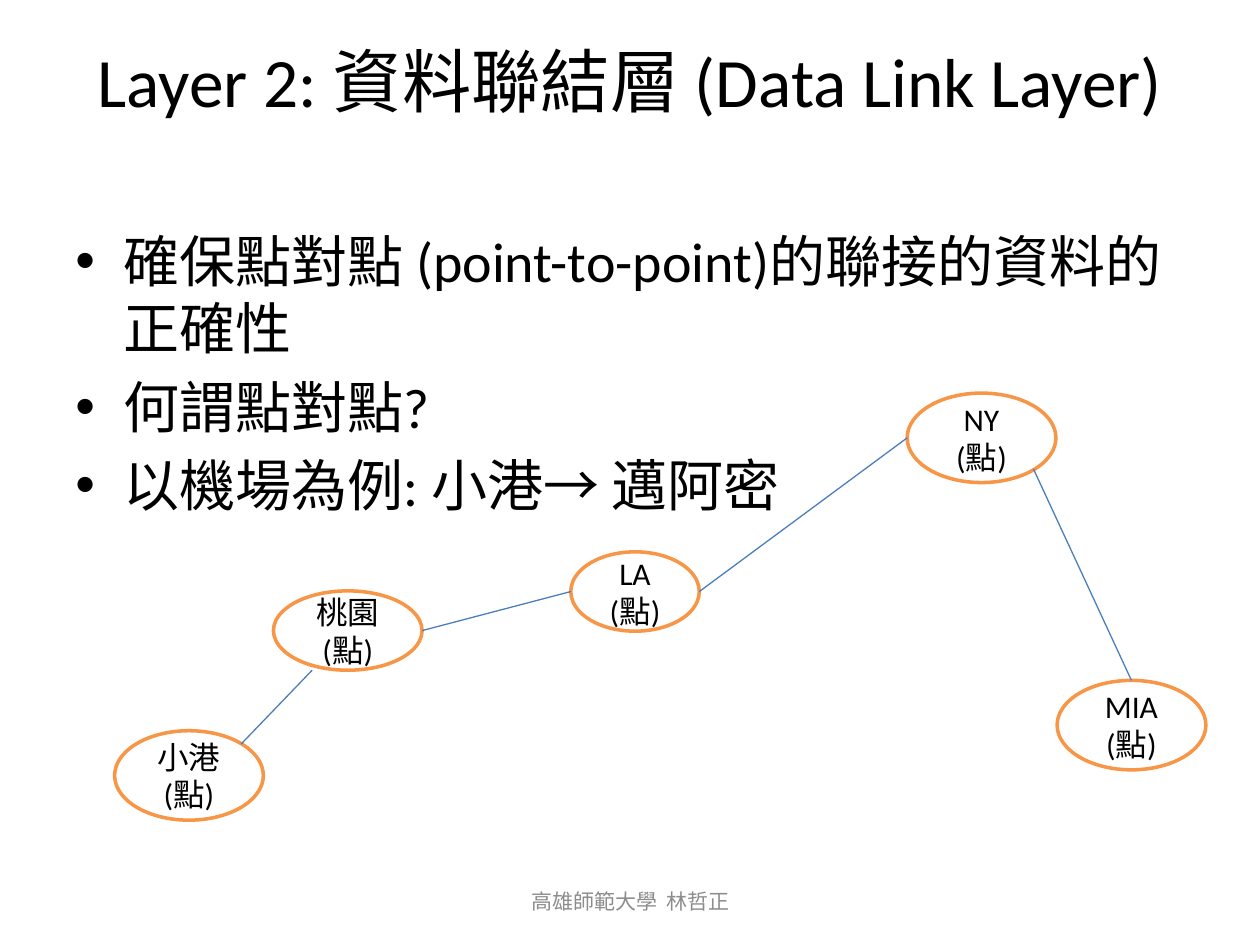
from dataclasses import dataclass
from typing import NamedTuple

from lxml.etree import SubElement
from pptx import Presentation
from pptx.dml.color import RGBColor
from pptx.enum.shapes import MSO_CONNECTOR, MSO_SHAPE
from pptx.enum.text import MSO_ANCHOR, PP_ALIGN
from pptx.oxml.ns import qn
from pptx.util import Inches, Pt

SLIDE_WIDTH, SLIDE_HEIGHT = Inches(10), Inches(7.5)
TITLE_ONLY = 5


@dataclass(frozen=True)
class Theme:
    """Fonts, colours and type sizes of the slide."""
    font: str = "Calibri"
    ink: RGBColor = RGBColor(0, 0, 0)
    paper: RGBColor = RGBColor(255, 255, 255)
    outline: RGBColor = RGBColor(0xF7, 0x96, 0x46)
    route: RGBColor = RGBColor(0x4B, 0x7E, 0xBC)
    muted: RGBColor = RGBColor(0x8C, 0x8C, 0x8C)
    title_size: float = 39.6
    body_size: float = 32
    node_size: float = 18
    footer_size: float = 12


class Area(NamedTuple):
    """A rectangle in percent of the slide's width and height."""
    left: float
    top: float
    width: float
    height: float

    def point(self, across: float, down: float) -> tuple[int, int]:
        """Return the slide position at the given shares of the area."""
        return (int(SLIDE_WIDTH * (self.left + across * self.width) / 100),
                int(SLIDE_HEIGHT * (self.top + down * self.height) / 100))

    def frame(self) -> tuple[int, int, int, int]:
        """Return left, top, width and height as lengths."""
        left, top = self.point(0, 0)
        right, bottom = self.point(1, 1)
        return left, top, right - left, bottom - top


class Airport(NamedTuple):
    """A stop on the route."""
    label: str
    area: Area


class Hop(NamedTuple):
    """A link between two stops, anchored at shares of their areas."""
    start: str
    leave: tuple[float, float]
    end: str
    arrive: tuple[float, float]


THEME = Theme()
TITLE_AREA = Area(5, 4, 90, 16.67)
BODY_AREA = Area(5, 23.33, 90, 66)
FOOTER_AREA = Area(34.2, 92.67, 31.7, 5.3)
TITLE = "Layer 2: 資料聯結層 (Data Link Layer)"
POINTS = (
    "確保點對點 (point-to-point)的聯接的資料的正確性",
    "何謂點對點?",
    "以機場為例: 小港→ 邁阿密",
)
FOOTER = "高雄師範大學  林哲正"

LEFT, RIGHT, TOP = (0, 0.5), (1, 0.5), (0.5, 0)
UPPER_RIGHT, LOWER_RIGHT = (0.85, 0.15), (0.85, 0.85)
AIRPORTS = {
    "KHH": Airport("小港 (點)", Area(9.1, 77.33, 11.8, 9.47)),
    "TPE": Airport("桃園(點)", Area(21.7, 62.53, 11.8, 8.4)),
    "LA": Airport("LA (點)", Area(45.3, 58.4, 10.2, 8.4)),
    "NY": Airport("NY (點)", Area(72, 41.6, 11.8, 9.47)),
    "MIA": Airport("MIA (點)", Area(83.9, 72, 11.8, 9.47)),
}
HOPS = (
    Hop("KHH", UPPER_RIGHT, "TPE", (0.26, 1)),
    Hop("TPE", RIGHT, "LA", LEFT),
    Hop("LA", RIGHT, "NY", LEFT),
    Hop("NY", LOWER_RIGHT, "MIA", TOP),
)


def style(para, size: float, color: RGBColor, align=PP_ALIGN.CENTER) -> None:
    """Set the font and alignment of a paragraph."""
    para.font.name, para.font.size = THEME.font, Pt(size)
    para.font.color.rgb = color
    para.alignment = align


def add_bullet(para) -> None:
    """Give a paragraph a round bullet and a hanging indent."""
    properties = para._p.get_or_add_pPr()
    properties.set("marL", str(Inches(0.38)))
    properties.set("indent", str(-Inches(0.38)))
    SubElement(properties, qn("a:buFont"), typeface="Arial")
    SubElement(properties, qn("a:buChar"), char="•")


def place_title(page) -> None:
    """Fill and move the title placeholder."""
    title = page.shapes.title
    title.left, title.top, title.width, title.height = TITLE_AREA.frame()
    frame = title.text_frame
    frame.text = TITLE
    frame.vertical_anchor = MSO_ANCHOR.TOP
    frame.margin_top = 0
    style(frame.paragraphs[0], THEME.title_size, THEME.ink)


def add_body(page) -> None:
    """Add the bulleted points."""
    frame = page.shapes.add_textbox(*BODY_AREA.frame()).text_frame
    frame.word_wrap = True
    frame.text = "\n".join(POINTS)
    for para in frame.paragraphs:
        style(para, THEME.body_size, THEME.ink, PP_ALIGN.LEFT)
        para.space_before = Pt(THEME.body_size * 0.2)
        add_bullet(para)


def add_airport(page, airport: Airport) -> None:
    """Add a labelled ellipse for one airport."""
    node = page.shapes.add_shape(MSO_SHAPE.OVAL, *airport.area.frame())
    node.shadow.inherit = False
    node.fill.solid()
    node.fill.fore_color.rgb = THEME.paper
    node.line.color.rgb = THEME.outline
    node.line.width = Pt(2)
    frame = node.text_frame
    frame.word_wrap = True
    frame.vertical_anchor = MSO_ANCHOR.MIDDLE
    frame.text = airport.label
    style(frame.paragraphs[0], THEME.node_size, THEME.ink)


def add_hop(page, hop: Hop) -> None:
    """Draw the straight link of one hop."""
    start = AIRPORTS[hop.start].area.point(*hop.leave)
    end = AIRPORTS[hop.end].area.point(*hop.arrive)
    link = page.shapes.add_connector(MSO_CONNECTOR.STRAIGHT, *start, *end)
    link.line.color.rgb = THEME.route
    link.line.width = Pt(0.75)
    SubElement(link._element.spPr, qn("a:effectLst"))


def add_footer(page) -> None:
    """Add the centred footer line."""
    frame = page.shapes.add_textbox(*FOOTER_AREA.frame()).text_frame
    frame.word_wrap = True
    frame.vertical_anchor = MSO_ANCHOR.MIDDLE
    frame.text = FOOTER
    style(frame.paragraphs[0], THEME.footer_size, THEME.muted)


def main() -> None:
    """Build and save the deck."""
    deck = Presentation()
    deck.slide_width, deck.slide_height = SLIDE_WIDTH, SLIDE_HEIGHT
    page = deck.slides.add_slide(deck.slide_layouts[TITLE_ONLY])
    place_title(page)
    add_body(page)
    for airport in AIRPORTS.values():
        add_airport(page, airport)
    for hop in HOPS:
        add_hop(page, hop)
    add_footer(page)
    deck.save("out.pptx")


main()
